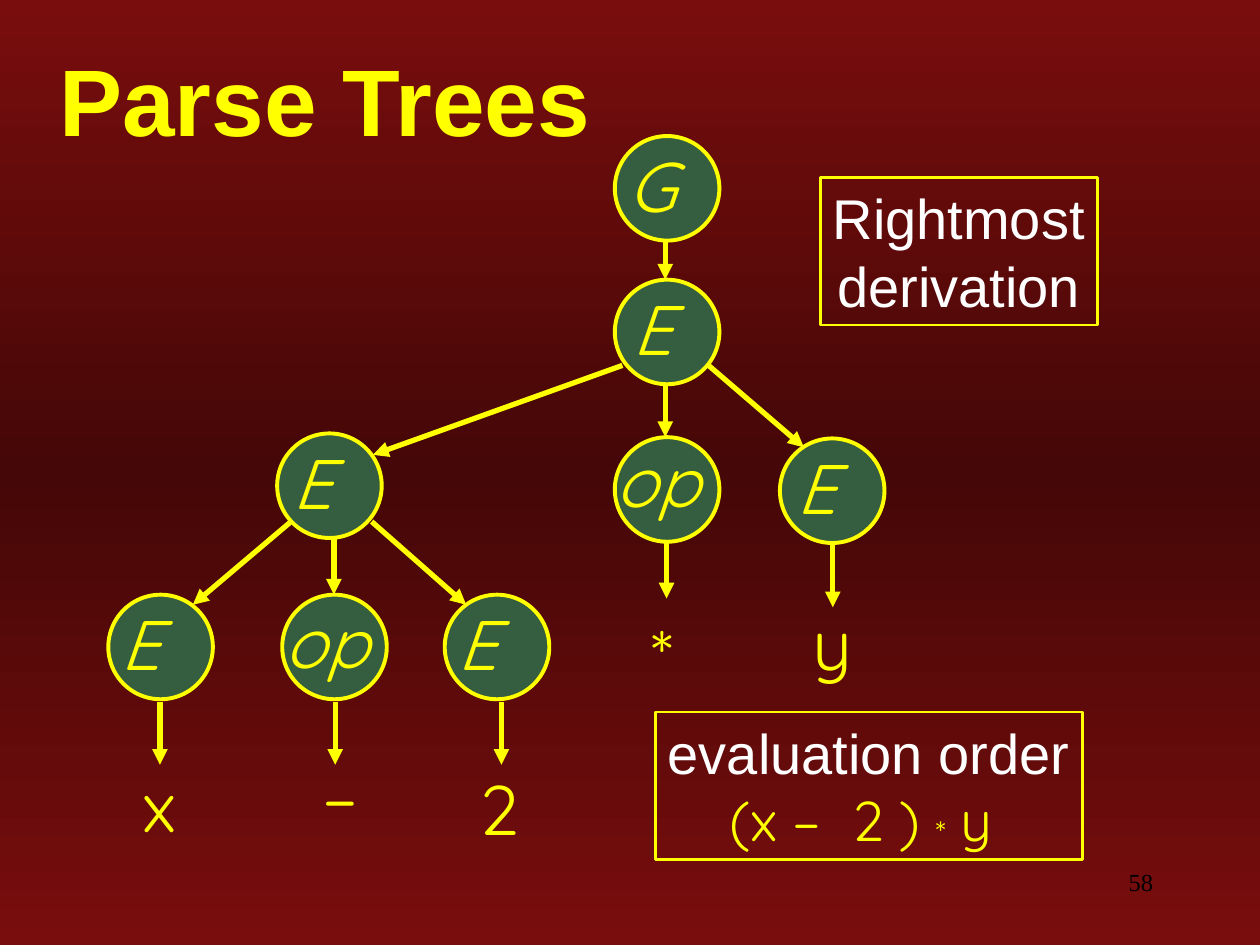
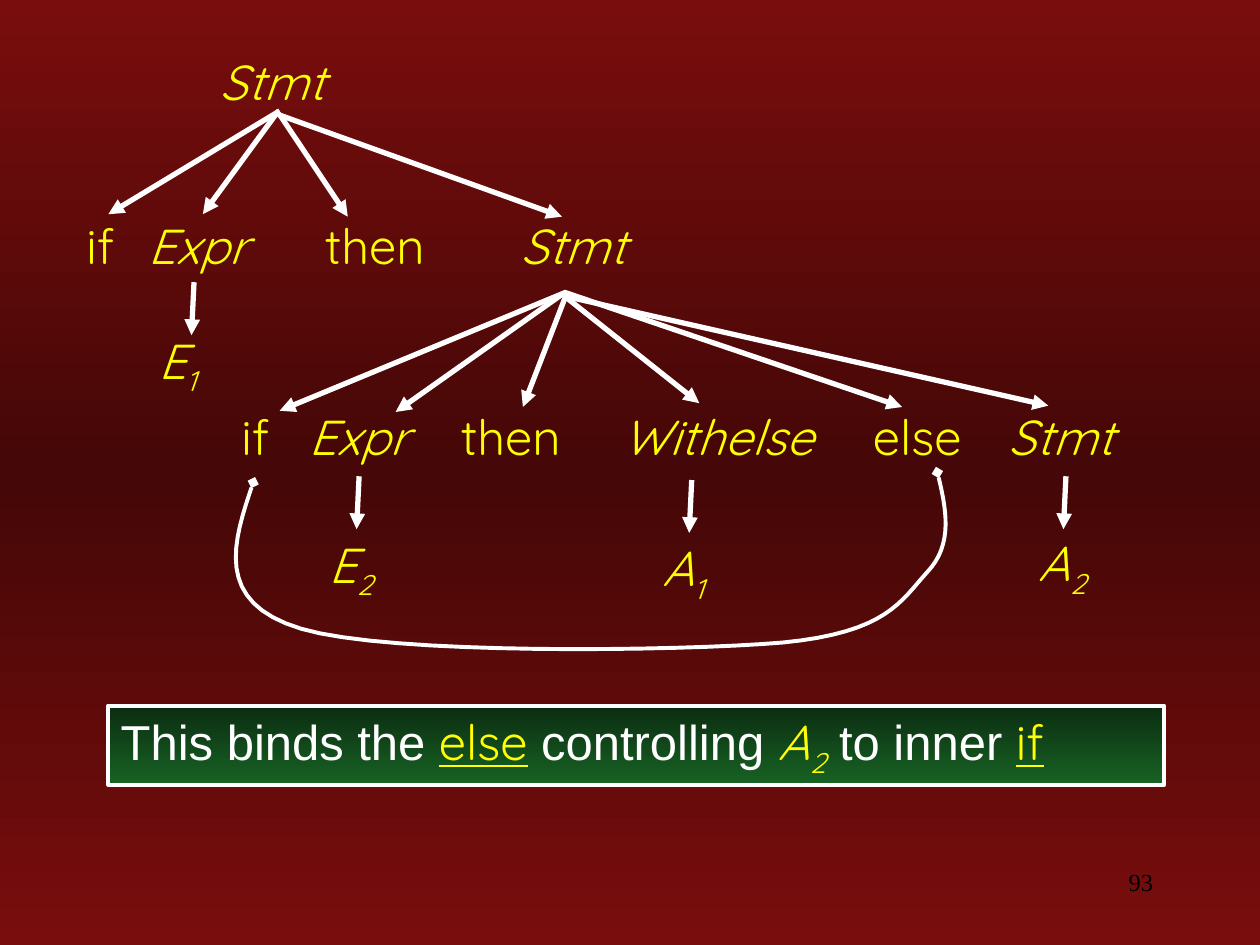
from lxml import etree
from pptx import Presentation
from pptx import util as u
from pptx.dml.color import RGBColor
from pptx.enum import shapes, text
from pptx.oxml.ns import qn

Inches = u.Inches
YELLOW, WHITE, BLACK = "FFFF00", "FFFFFF", "000000"
NODE_GREEN = "345E3F"
BACKDROP = ["790D0D", "450707", "790D0D"]
BANNER = ["0B2D11", "186224"]
LEFT, CENTER, RIGHT = text.PP_ALIGN.LEFT, text.PP_ALIGN.CENTER, text.PP_ALIGN.RIGHT

TITLE = dict(font="Arial", color=YELLOW, size=54, bold=True)
BODY = dict(font="Arial", color=WHITE)
TOKEN = dict(font="Quicksand", color=YELLOW)
SYMBOL = dict(TOKEN, italic=True)
INDEX = dict(SYMBOL, base=-25)
KEYWORD = dict(TOKEN, underline=True)
PAGE = dict(font="Times New Roman", color=BLACK, size=14)

NODE_SIZE = 0.83


def rgb(value):
    return RGBColor.from_string(value)


def add_gradient(owner, fill, colors):
    fill.gradient()
    fill.gradient_angle = 270
    stops = next(owner.element.iter(qn("a:gsLst")))
    for stop in list(stops):
        stops.remove(stop)
    for i, color in enumerate(colors):
        stop = etree.SubElement(stops, qn("a:gs"), pos=str(100000 * i // (len(colors) - 1)))
        etree.SubElement(stop, qn("a:srgbClr"), val=color)


def add_run(p, words, font, color, size=28, bold=False, italic=False, underline=False, base=0):
    r = p.add_run()
    r.text = words
    r.font.name = font
    r.font.size = u.Pt(size)
    r.font.color.rgb = rgb(color)
    r.font.bold = bold
    r.font.italic = italic
    r.font.underline = underline
    if base:
        r._r.get_or_add_rPr().set("baseline", str(base * 1000))
    return r


def write(tf, paragraphs, align=LEFT, wrap=True, size=28):
    tf.word_wrap = wrap
    for i, runs in enumerate(paragraphs):
        p = tf.add_paragraph() if i else tf.paragraphs[0]
        p.alignment = align
        for words, style in runs:
            add_run(p, words, **{"size": size, **style})


def add_label(s, x, y, w, h, runs, align=LEFT, size=28):
    box = s.shapes.add_textbox(Inches(x), Inches(y), Inches(w), Inches(h))
    write(box.text_frame, [runs], align, size=size)


def add_outlined(s, kind, x, y, w, h, color, width):
    sp = s.shapes.add_shape(kind, Inches(x), Inches(y), Inches(w), Inches(h))
    sp.shadow.inherit = False
    sp.fill.background()
    sp.line.color.rgb = rgb(color)
    sp.line.width = u.Pt(width)
    return sp


def add_frame(s, x, y, w, h, paragraphs, color=YELLOW, width=1.5, align=CENTER, wrap=False, size=32):
    sp = add_outlined(s, shapes.MSO_SHAPE.RECTANGLE, x, y, w, h, color, width)
    sp.text_frame.vertical_anchor = text.MSO_ANCHOR.TOP
    write(sp.text_frame, paragraphs, align, wrap, size)
    return sp


def add_node(s, name, x, y, dx=0, dy=0):
    circle = add_outlined(s, shapes.MSO_SHAPE.OVAL, x, y, NODE_SIZE, NODE_SIZE, YELLOW, 2.25)
    circle.fill.solid()
    circle.fill.fore_color.rgb = rgb(NODE_GREEN)
    add_label(s, x + dx, y + dy, 0.96 if name == "op" else 0.64, 0.77, [(name, SYMBOL)], size=40)


def set_ends(sp, **ends):
    ln = sp.element.spPr.find(qn("a:ln"))
    for end, kind in ends.items():
        etree.SubElement(ln, qn(f"a:{end}End"), type=kind)


def add_arrow(s, x1, y1, x2, y2, color):
    c = s.shapes.add_connector(shapes.MSO_CONNECTOR.STRAIGHT, Inches(x1), Inches(y1), Inches(x2), Inches(y2))
    c.line.color.rgb = rgb(color)
    c.line.width = u.Pt(3)
    set_ends(c, tail="triangle")
    etree.SubElement(c.element.spPr, qn("a:effectLst"))


def bezier(p0, p1, p2, p3, steps=16):
    for i in range(1, steps + 1):
        t = i / steps
        weights = ((1 - t) ** 3, 3 * t * (1 - t) ** 2, 3 * t * t * (1 - t), t ** 3)
        yield tuple(Inches(sum(k * v for k, v in zip(weights, axis))) for axis in zip(p0, p1, p2, p3))


def add_curve(s, start, curves):
    builder = s.shapes.build_freeform(Inches(start[0]), Inches(start[1]))
    for c1, c2, end in curves:
        builder.add_line_segments(list(bezier(start, c1, c2, end)), close=False)
        start = end
    sp = builder.convert_to_shape()
    sp.shadow.inherit = False
    sp.fill.background()
    sp.line.color.rgb = rgb(WHITE)
    sp.line.width = u.Pt(2.25)
    set_ends(sp, head="diamond", tail="diamond")


def add_title(s, words):
    title = s.shapes.title
    title.left, title.top, title.width, title.height = map(Inches, (0.37, 0.37, 9.63, 0.83))
    tf = title.text_frame
    tf.vertical_anchor = text.MSO_ANCHOR.MIDDLE
    tf.paragraphs[0].alignment = LEFT
    r = add_run(tf.paragraphs[0], words, **TITLE)
    effects = etree.Element(qn("a:effectLst"))
    shadow = etree.SubElement(effects, qn("a:outerShdw"), dist="25400", dir="2700000")
    etree.SubElement(shadow, qn("a:srgbClr"), val="C0C0C0")
    r._r.get_or_add_rPr().find(qn("a:solidFill")).addnext(effects)


def new_slide(prs, layout, number):
    s = prs.slides.add_slide(prs.slide_layouts[layout])
    add_label(s, 7.17, 6.83, 2.08, 0.5, [(number, PAGE)], RIGHT)
    return s


def build_parse_tree(prs):
    s = new_slide(prs, 5, "58")
    add_title(s, "Parse Trees")

    for x, y, length in [(5.28, 1.92, 0.3), (5.28, 2.97, 0.5), (5.29, 4.25, 0.5), (6.61, 4.32, 0.5),
                         (2.65, 4.22, 0.5), (1.27, 5.57, 0.5), (2.66, 5.57, 0.5), (3.98, 5.57, 0.5)]:
        add_arrow(s, x, y, x, y + length, YELLOW)
    for branch in [(5.6, 2.88, 6.38, 3.55), (4.94, 2.9, 2.96, 3.61),
                   (2.31, 4.14, 1.53, 4.8), (2.95, 4.14, 3.7, 4.8)]:
        add_arrow(s, *branch, YELLOW)

    for node in [("G", 4.88, 1.08), ("E", 4.88, 2.22, 0.04), ("op", 4.88, 3.47, -0.09, -0.05),
                 ("E", 6.19, 3.48, 0.03), ("E", 2.2, 3.44, 0.02), ("E", 0.86, 4.72),
                 ("op", 2.24, 4.72, -0.08, -0.02), ("E", 3.53, 4.72)]:
        add_node(s, *node)

    for leaf, x, y in [("x", 1.03, 6), ("–", 2.46, 5.92), ("2", 3.71, 6.03), ("*", 5.07, 4.8), ("y", 6.35, 4.72)]:
        add_label(s, x, y, 0.49, 0.77, [(leaf, TOKEN)], size=40)

    add_frame(s, 6.51, 1.41, 2.2, 1.17, [[("Rightmost", BODY)], [("derivation", BODY)]])
    add_frame(s, 5.2, 5.65, 3.39, 1.17, [
        [("evaluation order", BODY)],
        [("(x –  2 ) ", TOKEN), ("*", dict(TOKEN, base=-6)), (" y ", TOKEN)],
    ])


def build_else_binding(prs):
    s = new_slide(prs, 6, "93")

    for word, x, y, w, style, align in [
        ("Stmt", 1.45, 0.36, 1.42, SYMBOL, CENTER),
        ("if", 0.38, 1.66, 0.83, TOKEN, CENTER),
        ("Expr", 0.86, 1.66, 1.42, SYMBOL, CENTER),
        ("then", 2.48, 1.66, 1.27, TOKEN, LEFT),
        ("Stmt", 3.82, 1.66, 1.46, SYMBOL, CENTER),
        ("if", 1.79, 3.18, 0.47, TOKEN, CENTER),
        ("Expr", 2.19, 3.18, 1.31, SYMBOL, CENTER),
        ("then", 3.56, 3.18, 1.14, TOKEN, LEFT),
        ("Withelse", 4.74, 3.18, 1.91, SYMBOL, CENTER),
        ("else", 6.83, 3.18, 1.25, TOKEN, LEFT),
        ("Stmt", 7.75, 3.18, 1.34, SYMBOL, CENTER),
    ]:
        add_label(s, x, y, w, 0.57, [(word, style)], align)

    for letter, index, x, y in [("E", "1", 1.16, 2.57), ("E", "2", 2.51, 4.19),
                                ("A", "1", 5.16, 4.22), ("A", "2", 8.14, 4.18)]:
        add_label(s, x, y, 0.93, 0.63, [(letter, SYMBOL), (index, INDEX)])

    for branch in [
        (2.22, 0.88, 0.86, 1.7), (2.21, 0.88, 1.61, 1.7),
        (2.22, 0.91, 2.76, 1.72), (2.21, 0.91, 4.46, 1.72),
        (4.49, 2.32, 2.22, 3.26), (4.47, 2.33, 3.14, 3.27), (4.49, 2.35, 4.15, 3.23),
        (4.48, 2.35, 5.55, 3.2), (4.48, 2.32, 7.16, 3.23), (4.48, 2.35, 8.32, 3.22),
    ]:
        add_arrow(s, *branch, WHITE)
    for x, y in [(1.54, 2.24), (2.85, 3.78), (5.49, 3.81), (8.46, 3.78)]:
        add_arrow(s, x, y, x - 0.02, y + 0.42, WHITE)

    banner = add_frame(s, 0.86, 5.6, 8.38, 0.63, [[
        ("This binds the ", BODY), ("else", KEYWORD), (" controlling ", BODY),
        ("A", SYMBOL), ("2", INDEX), (" to inner ", BODY), ("if", KEYWORD),
    ]], WHITE, 2.25, LEFT, True, 28)
    add_gradient(banner, banner.fill, BANNER)

    add_curve(s, (2.01, 3.83), [
        ((1.85, 4.3), (1.69, 4.78), (2.39, 4.99)),
        ((3.09, 5.2), (5.38, 5.17), (6.21, 5.1)),
        ((7.04, 5.02), (7.15, 4.77), (7.36, 4.54)),
        ((7.57, 4.32), (7.51, 4.03), (7.44, 3.75)),
    ])


def main():
    prs = Presentation()
    prs.slide_width, prs.slide_height = Inches(10), Inches(7.5)
    master = prs.slide_master
    add_gradient(master, master.background.fill, BACKDROP)
    build_parse_tree(prs)
    build_else_binding(prs)
    prs.save("out.pptx")


if __name__ == "__main__":
    main()
